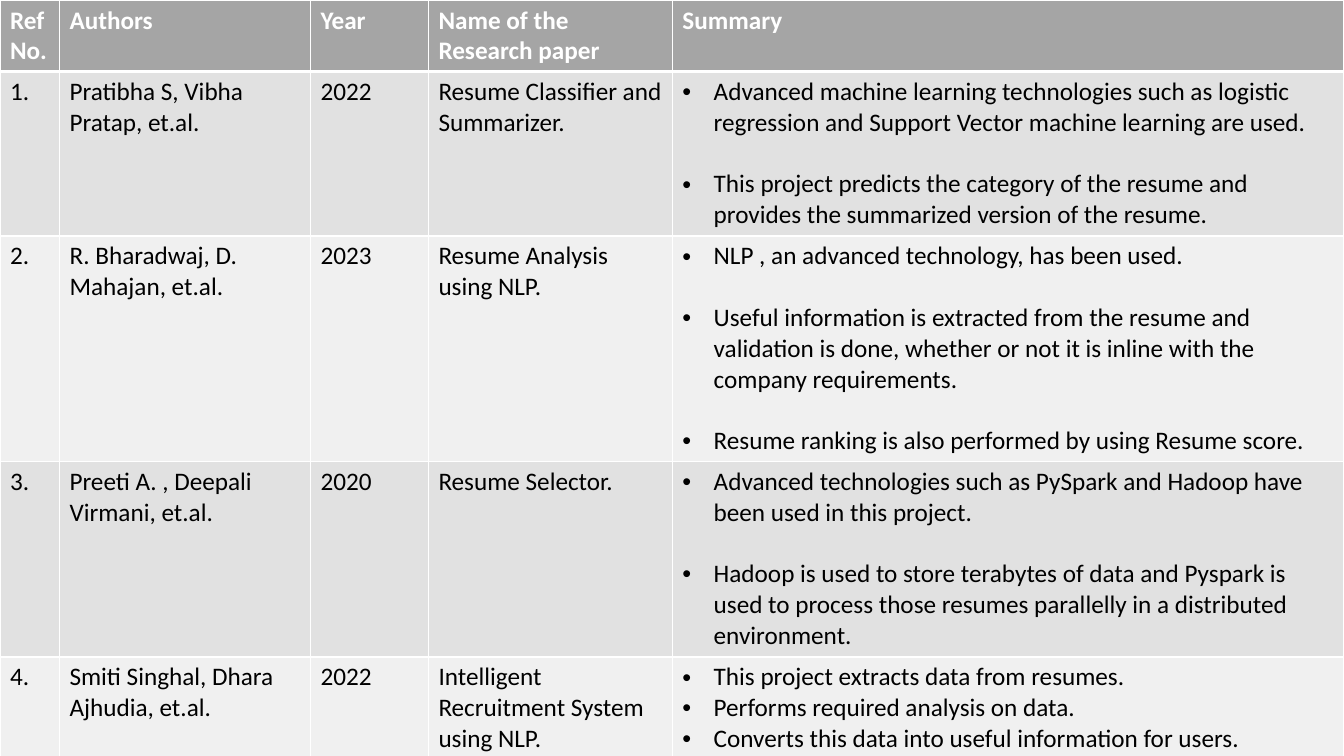
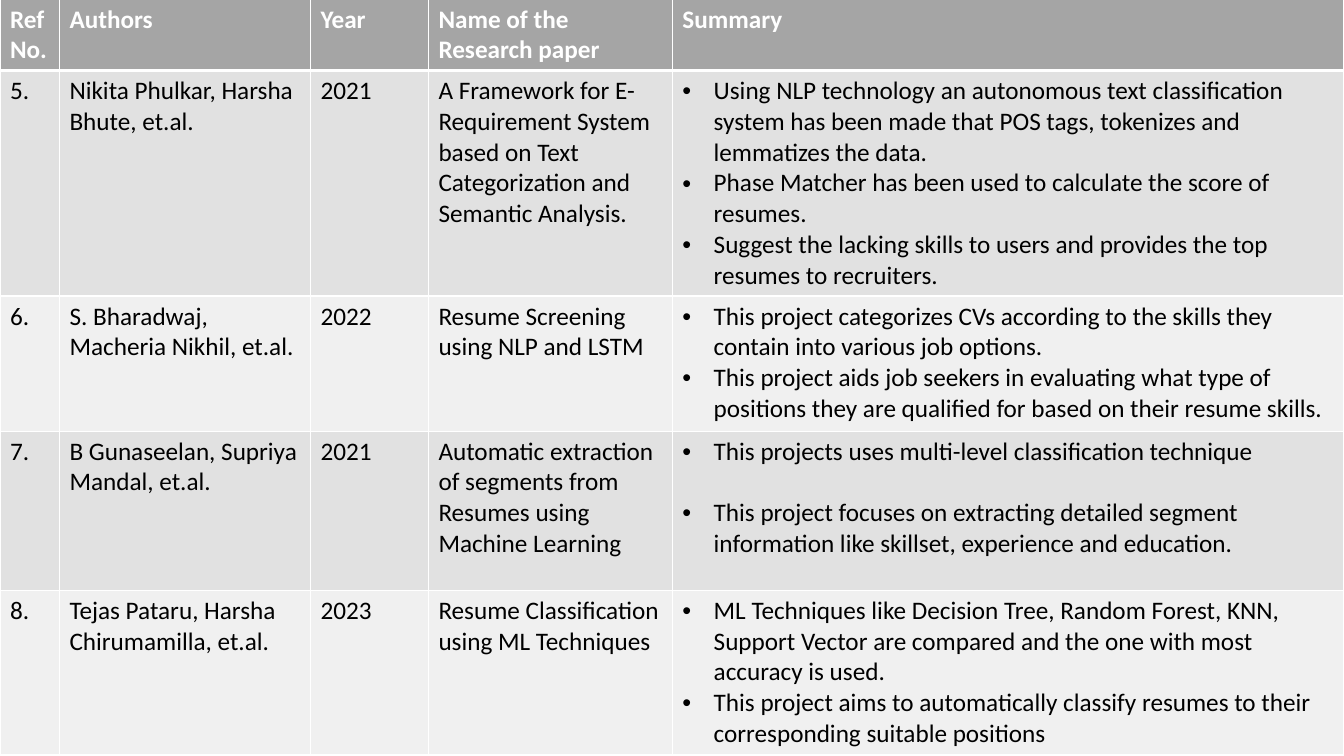
"""Build two slides that tabulate research papers on resume analysis."""
from lxml.etree import SubElement
from pptx import Presentation
from pptx.dml.color import RGBColor
from pptx.oxml.ns import qn
from pptx.util import Inches, Pt

WIDTH, HEIGHT = 13.33, 7.5
COLUMNS = [0.59, 2.49, 1.17, 2.42, 6.66]
HEADINGS = [["Ref", "No."], ["Authors"], ["Year"], ["Name of the", "Research paper"], ["Summary"]]
TIGHT, SPACED = 0, 22

EARLIER_PAPERS = [
    ("1.", "Pratibha S, Vibha Pratap, et.al.", "2022", "Resume Classifier and Summarizer.", SPACED, [
        "Advanced machine learning technologies such as logistic regression and Support Vector machine learning are used.",
        "This project predicts the category of the resume and provides the summarized version of the resume."]),
    ("2.", "R. Bharadwaj, D. Mahajan, et.al.", "2023", "Resume Analysis using NLP.", SPACED, [
        "NLP , an advanced technology, has been used.",
        "Useful information is extracted from the resume and validation is done, whether or not it is inline with the company requirements.",
        "Resume ranking is also performed by using Resume score."]),
    ("3.", "Preeti A. , Deepali Virmani, et.al.", "2020", "Resume Selector.", SPACED, [
        "Advanced technologies such as PySpark and Hadoop have been used in this project.",
        "Hadoop is used to store terabytes of data and Pyspark is used to process those resumes parallelly in a distributed environment."]),
    ("4.", "Smiti Singhal, Dhara Ajhudia, et.al.", "2022", "Intelligent Recruitment System using NLP.", TIGHT, [
        "This project extracts data from resumes.",
        "Performs required analysis on data.",
        "Converts this data into useful information for users."]),
]
LATER_PAPERS = [
    ("5.", "Nikita Phulkar, Harsha Bhute, et.al.", "2021",
     "A Framework for E-Requirement System based on Text Categorization and Semantic Analysis.", TIGHT, [
         "Using NLP technology an autonomous text classification system has been made that POS tags, tokenizes and lemmatizes the data.",
         "Phase Matcher has been used to calculate the score of resumes.",
         "Suggest the lacking skills to users and provides the top resumes to recruiters."]),
    ("6.", "S. Bharadwaj, Macheria Nikhil, et.al.", "2022", "Resume Screening using NLP and LSTM", TIGHT, [
        "This project categorizes CVs according to the skills they contain into various job options.",
        "This project aids job seekers in evaluating what type of positions they are qualified for based on their resume skills."]),
    ("7.", "B Gunaseelan, Supriya Mandal, et.al.", "2021",
     "Automatic extraction of segments from Resumes using Machine Learning", SPACED, [
         "This projects uses multi-level classification technique",
         "This project focuses on extracting detailed segment information like skillset, experience and education."]),
    ("8.", "Tejas Pataru, Harsha Chirumamilla, et.al.", "2023", "Resume Classification using ML Techniques", TIGHT, [
        "ML Techniques like Decision Tree, Random Forest, KNN, Support Vector are compared and the one with most accuracy is used.",
        "This project aims to automatically classify resumes to their corresponding suitable positions"]),
]


def color(value):
    return RGBColor.from_string(value)


def write(frame, lines, ink="000000", bold=False, bullet=False, gap=0):
    for index, line in enumerate(lines):
        paragraph = frame.add_paragraph() if index else frame.paragraphs[0]
        if index and gap:
            paragraph.space_before = Pt(gap)
        if bullet:
            layout = paragraph._p.get_or_add_pPr()
            layout.set("marL", str(Inches(0.31)))
            layout.set("indent", str(-Inches(0.31)))
            SubElement(layout, qn("a:buFont"), typeface="Arial")
            SubElement(layout, qn("a:buChar"), char="•")
        run = paragraph.add_run()
        run.text = line
        font = run.font
        font.name, font.size, font.bold = "Calibri", Pt(18), bold
        font.color.rgb = color(ink)


class PaperDeck:
    HEADER, BANDS, RULE = "A5A5A5", ("E1E1E1", "F0F0F0"), "FFFFFF"

    def __init__(self):
        self.deck = Presentation()
        self.deck.slide_width, self.deck.slide_height = Inches(WIDTH), Inches(HEIGHT)
        self.slide = None

    def add_slide(self):
        self.slide = self.deck.slides.add_slide(self.deck.slide_layouts[6])

    def cell(self, cell, lines, fill, top=1, bottom=1, **style):
        properties = cell._tc.get_or_add_tcPr()
        for side, points in (("L", 1), ("R", 1), ("T", top), ("B", bottom)):
            border = SubElement(properties, qn(f"a:ln{side}"), w=str(Pt(points)))
            SubElement(SubElement(border, qn("a:solidFill")), qn("a:srgbClr"), val=self.RULE)
        cell.fill.solid()
        cell.fill.fore_color.rgb = color(fill)
        write(cell.text_frame, lines, **style)

    def paper_table(self, papers, heights, top=0):
        frame = self.slide.shapes.add_table(
            len(heights), len(COLUMNS), 0, Inches(top), Inches(WIDTH), Inches(sum(heights)))
        table = frame.table
        for column, width in zip(table.columns, COLUMNS):
            column.width = Inches(width)
        for row, height in zip(table.rows, heights):
            row.height = Inches(height)
        for column, heading in enumerate(HEADINGS):
            self.cell(table.cell(0, column), heading, self.HEADER, bottom=3, ink="FFFFFF", bold=True)
        for row, (*facts, gap, summary) in enumerate(papers, 1):
            look = {"fill": self.BANDS[(row - 1) % 2], "top": 3 if row == 1 else 1}
            for column, fact in enumerate(facts):
                self.cell(table.cell(row, column), [fact], **look)
            self.cell(table.cell(row, len(facts)), summary, bullet=True, gap=gap, **look)


def main():
    deck = PaperDeck()
    deck.add_slide()
    deck.paper_table(EARLIER_PAPERS, [0.7, 1.63, 2.23, 1.94, 1.01])
    deck.add_slide()
    deck.paper_table(LATER_PAPERS, [0.71, 2.23, 1.34, 1.58, 1.63], top=-0.01)
    deck.deck.save("out.pptx")


if __name__ == "__main__":
    main()
